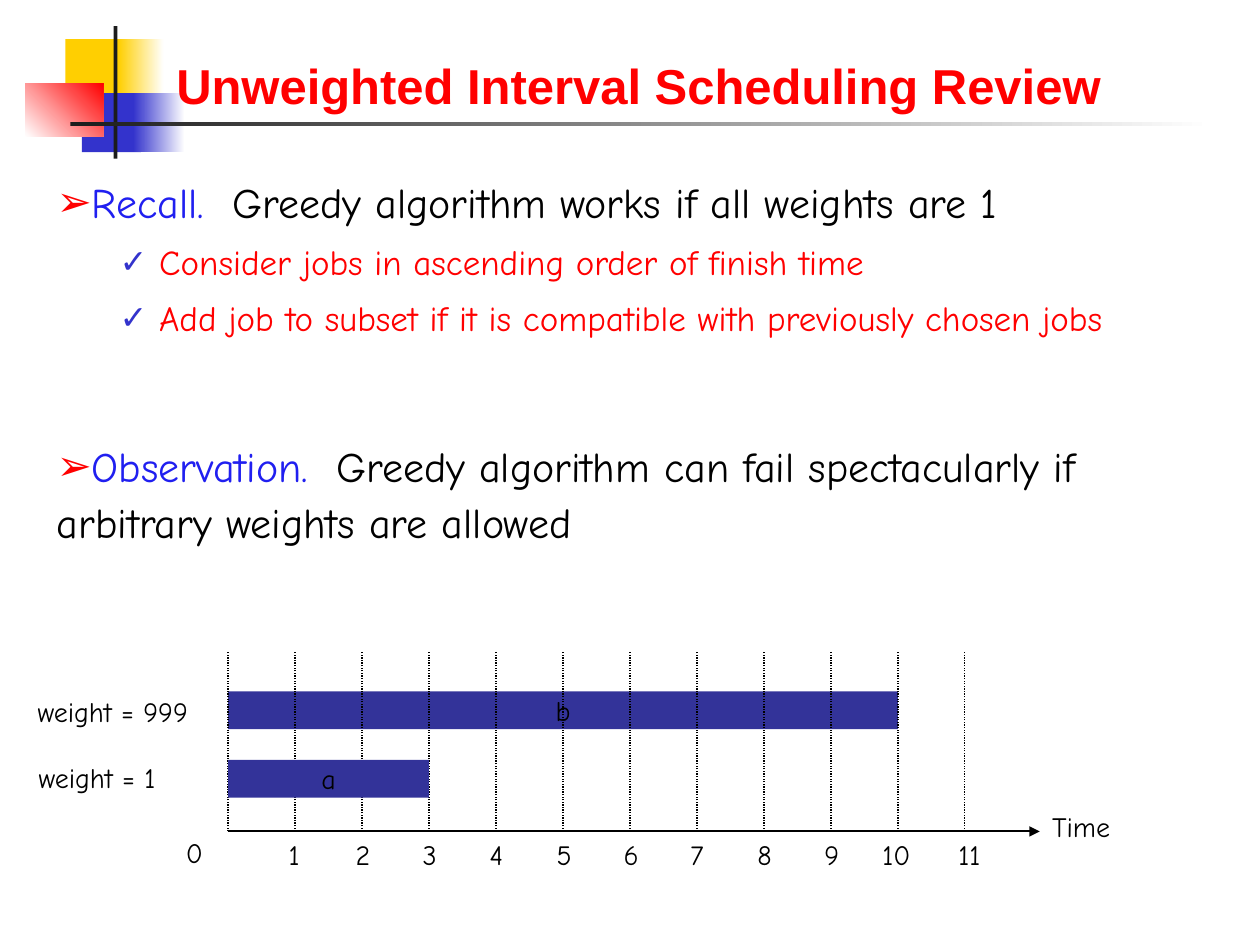
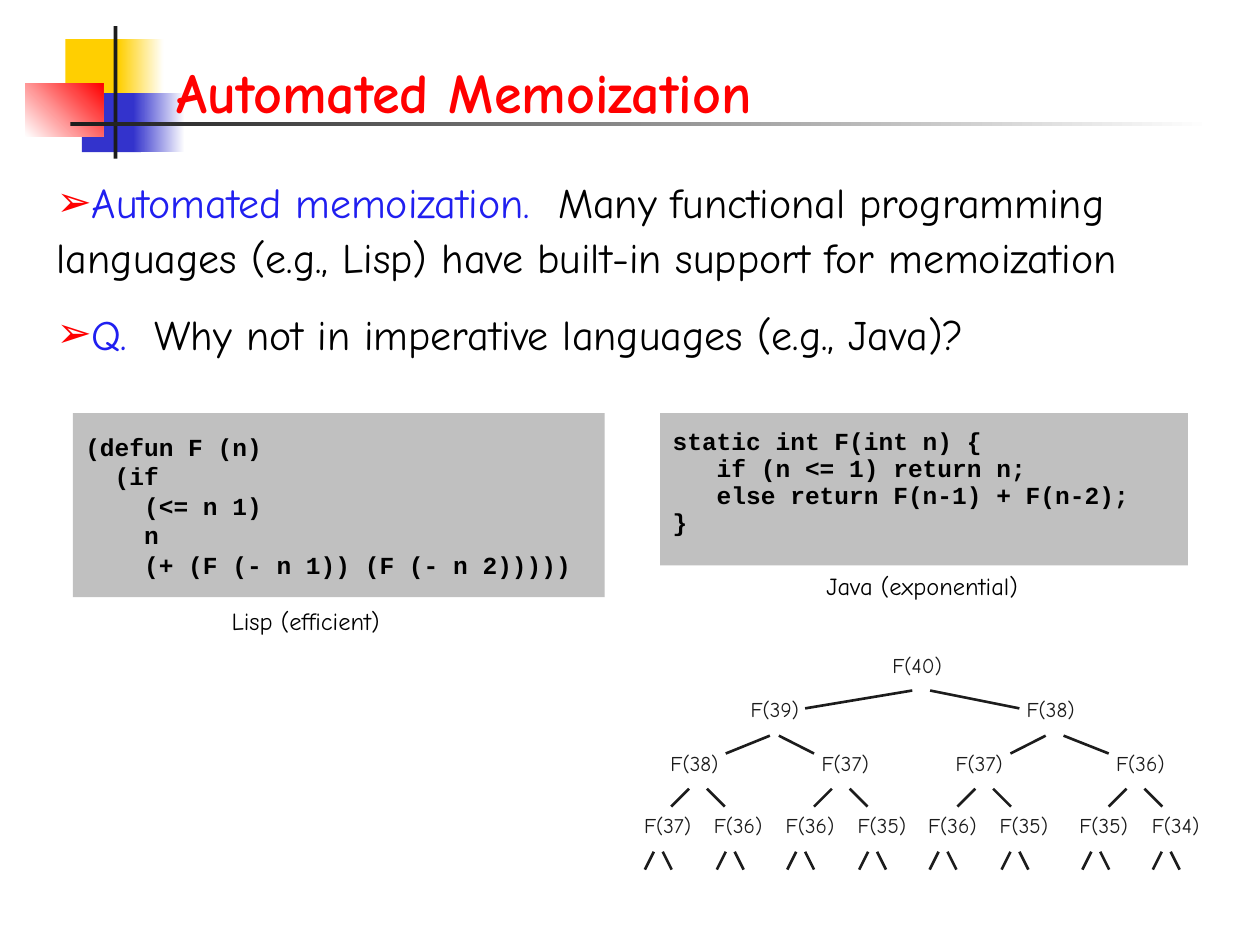
"""Build two algorithm slides: interval scheduling review and automated memoization."""
import dataclasses
import typing

import lxml.etree
import pptx
import pptx.dml.color
import pptx.enum.dml
import pptx.enum.shapes
import pptx.enum.text
import pptx.oxml.ns
import pptx.slide
import pptx.util

RED, BLUE, NAVY, BLACK, DARK, WHITE = "FF0000", "201FF0", "3333CC", "000000", "1C1C1C", "FFFFFF"
GOLD, BAR, GREY = "FFCF01", "333399", "C0C0C0"
HAND, CODE, SANS = "Comic Neue", "Courier New", "Arial"
TOP = pptx.enum.text.MSO_ANCHOR.TOP
MID = pptx.enum.text.MSO_ANCHOR.MIDDLE
LEFT = pptx.enum.text.PP_ALIGN.LEFT
CENTER = pptx.enum.text.PP_ALIGN.CENTER


@dataclasses.dataclass
class Block:
    """Filled rectangle, in centimetres, with an optional gradient end."""
    left: float
    top: float
    width: float
    height: float
    fill: str
    end: str = ""
    angle: int = 0


@dataclasses.dataclass
class Point:
    """List paragraph made of a lead and a rest."""
    lead: str
    rest: str = ""
    level: int = 0
    gap: float = 12


@dataclasses.dataclass
class Type:
    """Look of a piece of text."""
    size: float = 16
    color: str = BLACK
    name: str = HAND
    bold: bool = False


@dataclasses.dataclass
class Fork:
    """Pair of branches: start gap from the middle, and reach to each side."""
    mid: float
    near: float
    left: float
    right: float


@dataclasses.dataclass
class Tier:
    """One level of the call tree."""
    top: float
    split: float
    mids: list[float]
    forks: list[Fork]


DECOR = [
    Block(1.32, 0.79, 1.22, 1.19, GOLD),
    Block(2.39, 0.79, 0.91, 1.19, GOLD, WHITE),
    Block(1.65, 1.88, 1.19, 1.19, NAVY),
    Block(2.69, 1.88, 1.04, 1.19, NAVY, WHITE),
    Block(0.51, 1.68, 1.57, 1.07, WHITE, RED, 45),
    Block(2.29, 0.53, 0.08, 2.67, DARK),
    Block(1.42, 2.46, 23.01, 0.08, DARK, WHITE),
]
TIERS = [
    Tier(13.03, 13.92, [18.49], [Fork(18.57, 0.18, 2.34, 1.98)]),
    Tier(13.92, 14.83, [15.62, 21.18],
         [Fork(15.61, 0.09, 0.98, 0.8), Fork(21.26, 0.18, 0.89, 1.09)]),
    Tier(15.01, 15.9, [14, 17.04, 19.74, 22.99],
         [Fork(x, 0.18, 0.54, 0.54) for x in (14.07, 16.95, 19.84, 22.89)]),
    Tier(16.26, 17.17, [13.46, 14.88, 16.33, 17.78, 19.2, 20.64, 22.25, 23.7],
         [Fork(x, 0.09, 0.27, 0.27)
          for x in (13.27, 14.72, 16.14, 17.59, 19.01, 20.46, 22.09, 23.51)]),
]
LISP = ["(defun F (n)", "  (if", "    (<= n 1)", "    n", "    (+ (F (- n 1)) (F (- n 2)))))"]
JAVA = ["static int F(int n) {", "   if (n <= 1) return n;",
        "   else return F(n-1) + F(n-2);", "}"]


def tint(code: str) -> pptx.dml.color.RGBColor:
    """Turn a hex string into a colour."""
    return pptx.dml.color.RGBColor.from_string(code)


def cms(*values: float) -> list[pptx.util.Length]:
    """Turn numbers into centimetre lengths."""
    return [pptx.util.Cm(value) for value in values]


def apply(target: typing.Any, form: dict[str, typing.Any]) -> None:
    """Set each format value on the target."""
    for key, value in form.items():
        setattr(target, key, value)


def write(para: typing.Any, text: str, look: Type) -> None:
    """Add a styled run to a paragraph."""
    run = para.add_run()
    run.text = text
    apply(run.font, {"name": look.name, "size": pptx.util.Pt(look.size), "bold": look.bold})
    run.font.color.rgb = tint(look.color)


def fill_text(shape: typing.Any, lines: list[str], look: Type, align: typing.Any = LEFT,
              anchor: typing.Any = TOP, pad: float = 0.13,
              pitch: float | None = None, gap: float = 0) -> None:
    """Write plain lines into a shape."""
    frame = shape.text_frame
    apply(frame, {"word_wrap": True, "vertical_anchor": anchor,
                  "margin_top": pptx.util.Cm(pad), "margin_bottom": pptx.util.Cm(pad)})
    for i, line in enumerate(lines):
        para = frame.add_paragraph() if i else frame.paragraphs[0]
        apply(para, {"alignment": align, "line_spacing": pitch,
                     "space_before": pptx.util.Pt(gap if i else 0)})
        write(para, line, look)


def label(slide: pptx.slide.Slide, text: str, left: float, top: float, width: float,
          look: Type, align: typing.Any = LEFT) -> None:
    """Add a one-line text box."""
    box = slide.shapes.add_textbox(*cms(left, top, width, 0.94))
    fill_text(box, [text], look, align)


def rect(slide: pptx.slide.Slide, block: Block) -> typing.Any:
    """Draw a block without outline or shadow."""
    shape = slide.shapes.add_shape(pptx.enum.shapes.MSO_SHAPE.RECTANGLE,
                                   *cms(block.left, block.top, block.width, block.height))
    shape.shadow.inherit = False
    shape.line.fill.background()
    if block.end:
        shape.fill.gradient()
        shape.fill.gradient_angle = block.angle
        for i, color in enumerate((block.fill, block.end)):
            stop = shape.fill.gradient_stops[i]
            stop.position = i
            stop.color.rgb = tint(color)
    else:
        shape.fill.solid()
        shape.fill.fore_color.rgb = tint(block.fill)
    return shape


def line(slide: pptx.slide.Slide, ends: tuple[float, float, float, float], color: str,
         width: float, dash: typing.Any = None, arrow: bool = False) -> None:
    """Draw a straight line, dashed or with an arrowhead on request."""
    link = slide.shapes.add_connector(pptx.enum.shapes.MSO_CONNECTOR.STRAIGHT, *cms(*ends))
    link.line.color.rgb = tint(color)
    apply(link.line, {"width": pptx.util.Pt(width), "dash_style": dash})
    if arrow:
        lxml.etree.SubElement(link.get_or_add_ln(), pptx.oxml.ns.qn("a:tailEnd"), type="triangle")
    lxml.etree.SubElement(link.element.spPr, pptx.oxml.ns.qn("a:effectLst"))


def mark(para: typing.Any, sign: str, color: str, size: int) -> None:
    """Give a paragraph a coloured bullet."""
    props = para._p.get_or_add_pPr()
    hue = lxml.etree.SubElement(props, pptx.oxml.ns.qn("a:buClr"))
    lxml.etree.SubElement(hue, pptx.oxml.ns.qn("a:srgbClr"), val=color)
    lxml.etree.SubElement(props, pptx.oxml.ns.qn("a:buSzPct"), val=str(size * 1000))
    lxml.etree.SubElement(props, pptx.oxml.ns.qn("a:buChar"), char=sign)
    if not para.level:
        apply_none = {"marL": "0", "indent": "0"}
        for key, value in apply_none.items():
            props.set(key, value)


def place(shape: typing.Any, left: float, top: float, width: float, height: float) -> None:
    """Move a placeholder and stop it from shrinking its text."""
    apply(shape, dict(zip(("left", "top", "width", "height"), cms(left, top, width, height))))
    apply(shape.text_frame, {"auto_size": pptx.enum.text.MSO_AUTO_SIZE.NONE, "word_wrap": True})


def head(slide: pptx.slide.Slide, text: str, top: float, look: Type) -> None:
    """Fill the title."""
    title = slide.shapes.title
    place(title, 3.3, top, 20.93, 1.9)
    title.text_frame.vertical_anchor = pptx.enum.text.MSO_ANCHOR.BOTTOM
    title.text_frame.paragraphs[0].alignment = LEFT
    write(title.text_frame.paragraphs[0], text, look)


def points(slide: pptx.slide.Slide, items: list[Point], width: float, height: float) -> None:
    """Fill the body list."""
    body = slide.placeholders[1]
    place(body, 0.89, 3.33, width, height)
    for i, item in enumerate(items):
        para = body.text_frame.add_paragraph() if i else body.text_frame.paragraphs[0]
        para.level = item.level
        mark(para, *(("✓", NAVY, 95) if item.level else ("➢", RED, 100)))
        apply(para, {"line_spacing": None if item.level else 1.1,
                     "space_before": pptx.util.Pt(item.gap if i else 0)})
        write(para, item.lead, Type(20, RED) if item.level else Type(24, BLUE))
        if item.rest:
            write(para, item.rest, Type(24))


def adorn(deck: typing.Any, slide: pptx.slide.Slide) -> None:
    """Move the corner blocks and rules to the master."""
    for i, block in enumerate(DECOR):
        shape = rect(slide, block)
        shape.element.nvSpPr.cNvPr.id = 100 + i
        deck.slide_master.shapes.element.insert(2 + i, shape.element)


def chart_time(slide: pptx.slide.Slide) -> None:
    """Draw the two weighted jobs on a time axis."""
    start, step, base = 4.6, 1.35, 16.76
    look = Type()

    def job(name: str, top: float, span: int) -> None:
        """Draw one job bar."""
        bar = rect(slide, Block(start, top, span * step, 0.76, BAR))
        fill_text(bar, [name], look, CENTER, MID)

    job("b", 13.94, 10)
    line(slide, (start, base, 20.96, base), BLACK, 1.25, arrow=True)
    shifts = {0: -1.1, 10: -0.56}
    for hour in range(12):
        x = start + hour * step
        line(slide, (x, base, x, 13.13), BLACK, 0.75, pptx.enum.dml.MSO_LINE.ROUND_DOT)
        label(slide, str(hour), x + shifts.get(hour, -0.38), base if hour else 16.71, 1.14, look)
    job("a", 15.32, 3)
    label(slide, "Time", 20.96, 16.18, 2.11, look)
    label(slide, "weight = 999", 0.51, 13.87, 3.96, look)
    label(slide, "weight = 1", 0.53, 15.21, 3.18, look)


def tree(slide: pptx.slide.Slide) -> None:
    """Draw the tree of Fibonacci calls."""
    calls, drop, width = [40], 0.36, 1.63
    for depth, tier in enumerate(TIERS):
        for call, mid in zip(calls, tier.mids):
            label(slide, f"F({call})", mid - width / 2, tier.top, width, Type(12, DARK), CENTER)
        tops = (tier.split, tier.split + drop)
        for fork in tier.forks:
            for side, reach in ((-1, fork.left), (1, fork.right)):
                line(slide, (fork.mid + side * fork.near, tops[0],
                             fork.mid + side * reach, tops[1]), DARK, 1.5)
        calls = [call - less for call in calls for less in (1, 2)]


def main() -> None:
    """Build and save the deck."""
    deck = pptx.Presentation()
    deck.slide_width, deck.slide_height = cms(25.4, 19.05)
    review, memo = (deck.slides.add_slide(deck.slide_layouts[1]) for _ in range(2))
    adorn(deck, review)

    head(review, "Unweighted Interval Scheduling Review", 0.53, Type(28, RED, SANS, True))
    points(review, [
        Point("Recall.  ", "Greedy algorithm works if all weights are 1"),
        Point("Consider jobs in ascending order of finish time", level=1, gap=8),
        Point("Add job to subset if it is compatible with previously chosen jobs", level=1, gap=8),
        Point("Observation.  ",
              "Greedy algorithm can fail spectacularly if arbitrary weights are allowed", gap=55.4),
    ], 23.8, 8)
    chart_time(review)

    head(memo, "Automated Memoization", 0.74, Type(32, RED, HAND, True))
    points(memo, [
        Point("Automated memoization.  ", "Many functional programming languages "
              "(e.g., Lisp) have built-in support for memoization"),
        Point("Q.", "  Why not in imperative languages (e.g., Java)?"),
    ], 23.6, 14.4)
    tree(memo)
    mono = Type(14, BLACK, CODE, True)
    fill_text(rect(memo, Block(1.47, 8.33, 10.72, 3.71, GREY)), LISP, mono, pad=0.38)
    fill_text(rect(memo, Block(13.31, 8.33, 10.64, 3.07, GREY)), JAVA, mono,
              pad=0.51, pitch=0.5, gap=7)
    label(memo, "Lisp (efficient)", 4.42, 12.09, 3.99, Type(14))
    label(memo, "Java (exponential)", 16.41, 11.38, 4.72, Type(14))
    deck.save("out.pptx")


if __name__ == "__main__":
    main()
